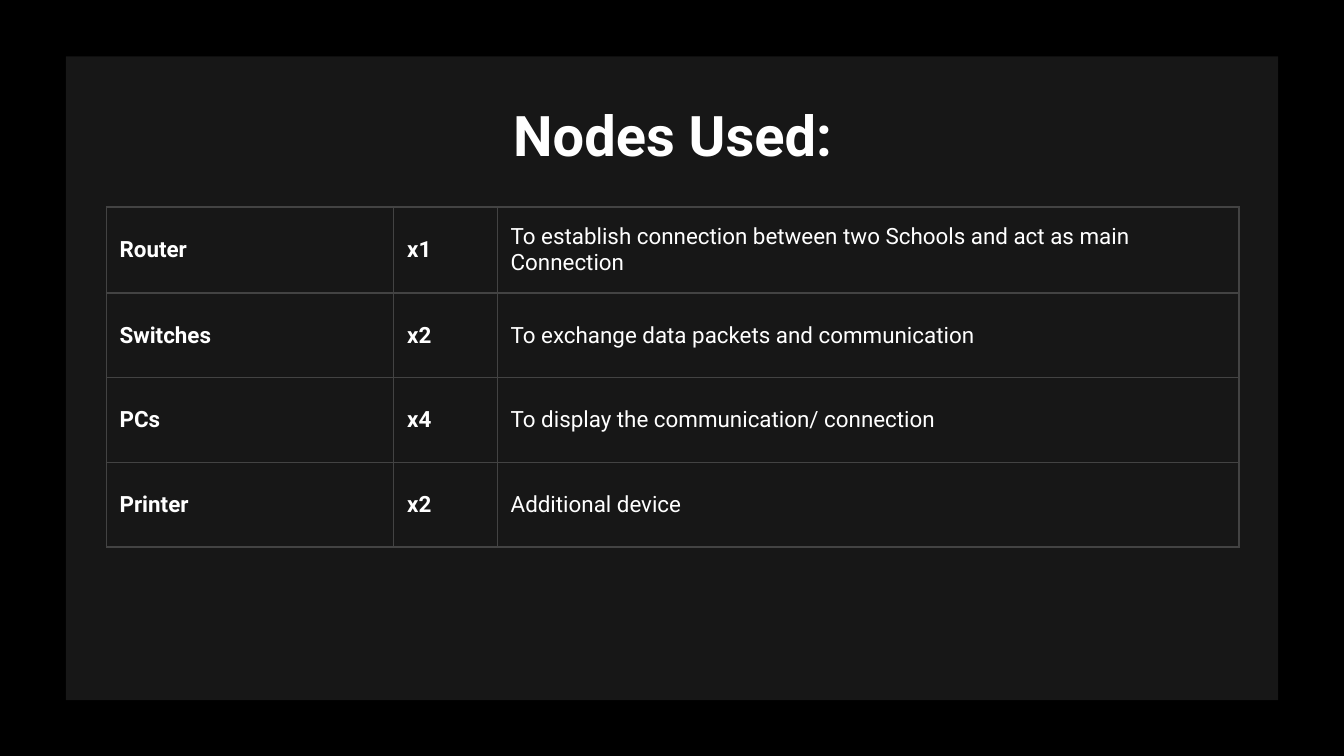
from lxml import etree
from pptx import Presentation
from pptx.dml.color import RGBColor
from pptx.enum.shapes import MSO_SHAPE
from pptx.enum.text import MSO_ANCHOR, PP_ALIGN
from pptx.oxml.ns import qn
from pptx.util import Inches, Pt

RECT = MSO_SHAPE.RECTANGLE
TOP, MIDDLE = MSO_ANCHOR.TOP, MSO_ANCHOR.MIDDLE
CENTER = PP_ALIGN.CENTER

FONT = "Roboto"
BLACK, PANEL, GRID, WHITE = "000000", "171717", "434343", "FFFFFF"
LEFT, WIDTH = 0.79, 8.43
COLUMNS = (2.14, 0.77, 5.52)
ROWS = (0.64, 0.63, 0.63, 0.63)

NODES = (
    ("Router", "x1", "To establish connection between two Schools and act as main Connection"),
    ("Switches", "x2", "To exchange data packets and communication"),
    ("PCs", "x4", "To display the communication/ connection"),
    ("Printer", "x2", "Additional device"),
)


def color(value):
    return RGBColor.from_string(value)


def add_run(p, text, size, bold):
    r = p.add_run()
    r.text = text
    r.font.name = FONT
    r.font.size = Pt(size)
    r.font.bold = bold
    r.font.color.rgb = color(WHITE)


def add_panel(s):
    sp = s.shapes.add_shape(RECT, Inches(0.49), Inches(0.42), Inches(9.02), Inches(4.79))
    sp.shadow.inherit = False
    sp.fill.solid()
    sp.fill.fore_color.rgb = color(PANEL)
    sp.line.fill.background()
    # Place the panel behind the title
    s.shapes.title._element.addprevious(sp._element)


def set_title(s, text):
    sp = s.shapes.title
    sp.left, sp.top = Inches(LEFT), Inches(0.65)
    sp.width, sp.height = Inches(WIDTH), Inches(0.63)
    tf = sp.text_frame
    tf.word_wrap = True
    tf.vertical_anchor = TOP
    tf.margin_left = tf.margin_right = tf.margin_top = tf.margin_bottom = Inches(0.1)
    p = tf.paragraphs[0]
    p.alignment = CENTER
    add_run(p, text, 30, True)


def set_borders(cell):
    # Border lines come before the fill in the cell properties
    tc_pr = cell._tc.get_or_add_tcPr()
    for i, side in enumerate(("lnL", "lnR", "lnT", "lnB")):
        ln = etree.Element(qn(f"a:{side}"), w=str(Pt(0.75)))
        fill = etree.SubElement(ln, qn("a:solidFill"))
        etree.SubElement(fill, qn("a:srgbClr"), val=GRID)
        tc_pr.insert(i, ln)


def fill_cell(cell, text, bold):
    cell.fill.background()
    set_borders(cell)
    cell.vertical_anchor = MIDDLE
    cell.margin_left = cell.margin_right = Inches(0.1)
    cell.margin_top = cell.margin_bottom = 0
    p = cell.text_frame.paragraphs[0]
    if not bold:
        p.space_after = Pt(16)
    add_run(p, text, 12, bold)


def add_node_table(s):
    frame = s.shapes.add_table(len(ROWS), len(COLUMNS), Inches(LEFT), Inches(1.54),
                               Inches(WIDTH), Inches(sum(ROWS)))
    table = frame.table
    table.first_row = table.horz_banding = False
    for column, width in zip(table.columns, COLUMNS):
        column.width = Inches(width)
    for row, height, node in zip(table.rows, ROWS, NODES):
        row.height = Inches(height)
        for i, (cell, text) in enumerate(zip(row.cells, node)):
            fill_cell(cell, text, bold=i < 2)


def main():
    prs = Presentation()
    # Widescreen 16:9
    prs.slide_width = Inches(10)
    prs.slide_height = prs.slide_width * 9 // 16
    s = prs.slides.add_slide(prs.slide_layouts[5])
    s.background.fill.solid()
    s.background.fill.fore_color.rgb = color(BLACK)

    add_panel(s)
    set_title(s, "Nodes Used:")
    add_node_table(s)
    prs.save("out.pptx")


if __name__ == "__main__":
    main()
